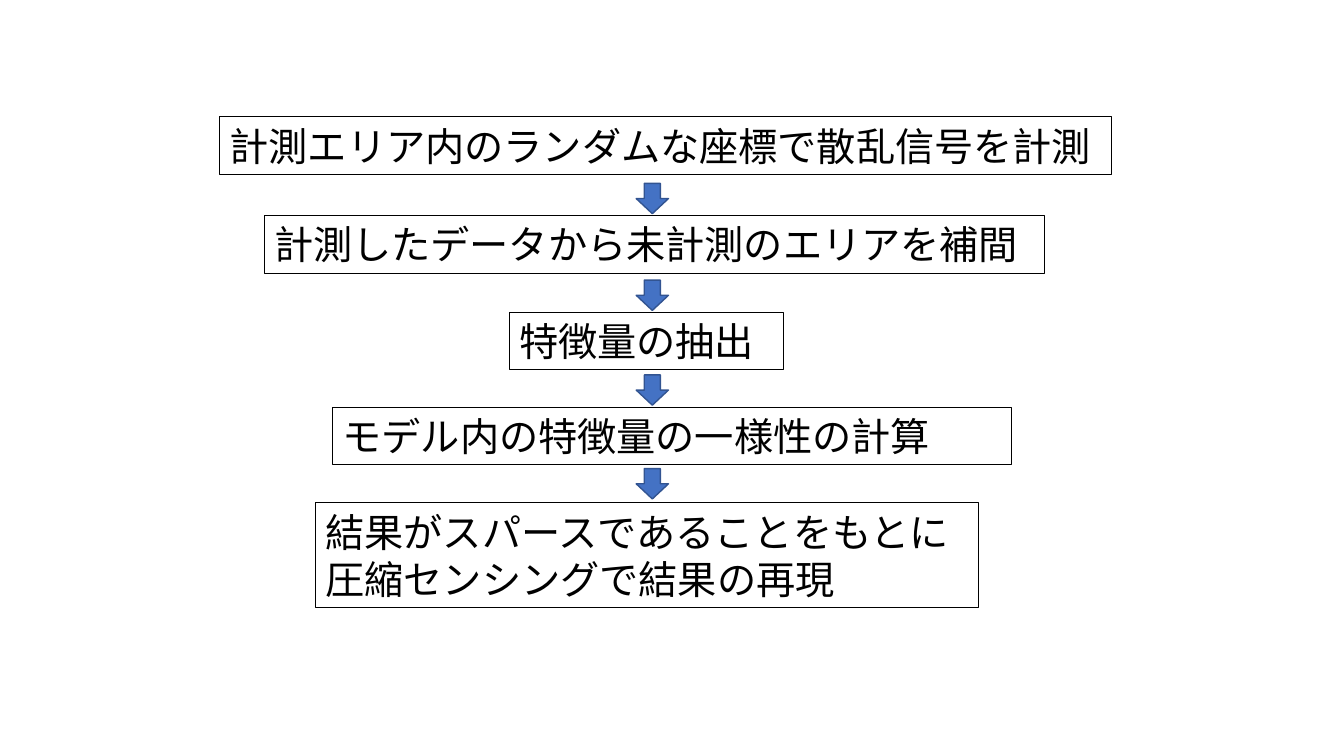
from dataclasses import dataclass

from pptx import Presentation
from pptx import util as u
from pptx.dml.color import RGBColor
from pptx.enum import shapes, text
from pptx.oxml.ns import qn

COLORS = {"ink": "000000", "arrow": "4472C4", "arrow_line": "325491"}
FONT = "Noto Sans CJK JP"
LINE_H, PAD_H = 0.47, 0.1  # box height = lines * LINE_H + PAD_H
ARROW_X, ARROW_W, ARROW_H = 6.31, 0.32, 0.3


@dataclass(frozen=True)
class Step:
    x: float
    y: float
    w: float
    lines: tuple[str, ...]


STEPS = [
    Step(2.18, 1.16, 8.84, ("計測エリア内のランダムな座標で散乱信号を計測",)),
    Step(2.62, 2.14, 7.74, ("計測したデータから未計測のエリアを補間",)),
    Step(5.05, 3.1, 2.72, ("特徴量の抽出",)),
    Step(3.3, 4.04, 6.73, ("モデル内の特徴量の一様性の計算",)),
    Step(3.13, 4.99, 6.58, ("結果がスパースであることをもとに", "圧縮センシングで結果の再現")),
]
ARROW_TOPS = [1.82, 2.78, 3.72, 4.65]


def rgb(name: str) -> RGBColor:
    return RGBColor.from_string(COLORS[name])


def add_step(s, step: Step) -> None:
    h = len(step.lines) * LINE_H + PAD_H
    sp = s.shapes.add_textbox(*map(u.Inches, (step.x, step.y, step.w, h)))
    sp.line.color.rgb = rgb("ink")
    sp.line.width = u.Pt(0.75)
    tf = sp.text_frame
    tf.word_wrap = True
    tf.auto_size = text.MSO_AUTO_SIZE.SHAPE_TO_FIT_TEXT
    tf.text = "\n".join(step.lines)
    for p in tf.paragraphs:
        p.font.size = u.Pt(28)
        p.font.color.rgb = rgb("ink")
        p.font.name = FONT
        # East Asian typeface, next to the Latin one
        props = p._p.pPr.find(qn("a:defRPr"))
        ea = props.makeelement(qn("a:ea"), {"typeface": FONT})
        props.find(qn("a:latin")).addnext(ea)


def add_arrow(s, y: float) -> None:
    sp = s.shapes.add_shape(shapes.MSO_SHAPE.DOWN_ARROW,
                            *map(u.Inches, (ARROW_X, y, ARROW_W, ARROW_H)))
    sp.shadow.inherit = False
    sp.fill.solid()
    sp.fill.fore_color.rgb = rgb("arrow")
    sp.line.color.rgb = rgb("arrow_line")
    sp.line.width = u.Pt(1)


def main() -> None:
    prs = Presentation()
    prs.slide_width, prs.slide_height = u.Inches(13.33), u.Inches(7.5)
    s = prs.slides.add_slide(prs.slide_layouts[6])

    # Process steps
    for step in STEPS:
        add_step(s, step)

    # Arrows between the steps
    for y in ARROW_TOPS:
        add_arrow(s, y)

    prs.save("out.pptx")


if __name__ == "__main__":
    main()
